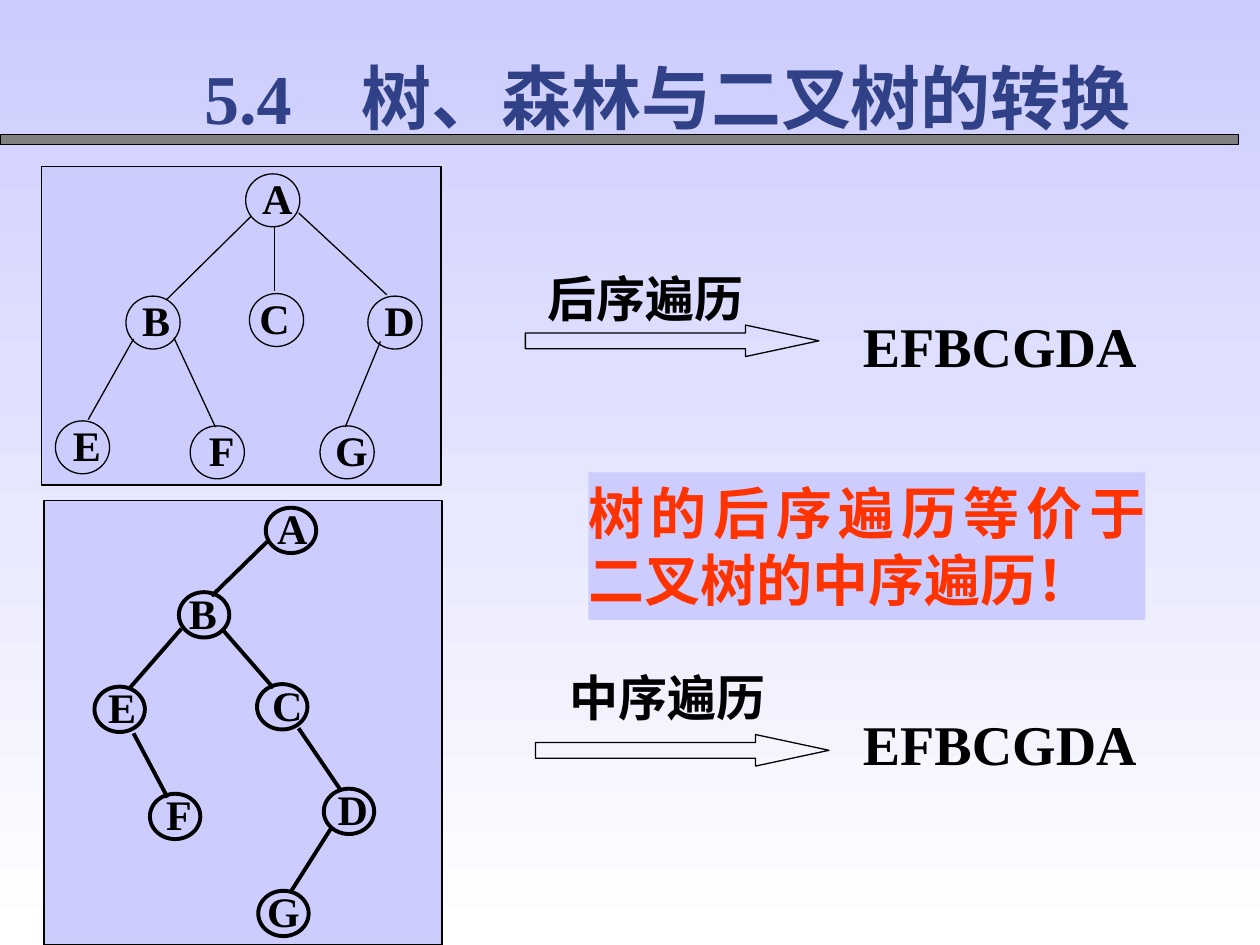
from lxml import etree
from pptx import Presentation
from pptx.dml.color import RGBColor
from pptx.enum.shapes import MSO_CONNECTOR as CONNECTOR, MSO_SHAPE as SHAPE
from pptx.enum.text import MSO_ANCHOR as ANCHOR, MSO_AUTO_SIZE as AUTO_SIZE, PP_ALIGN as ALIGN
from pptx.oxml.ns import qn
from pptx.util import Inches, Pt

BLACK = RGBColor(0x00, 0x00, 0x00)
WHITE = RGBColor(0xFF, 0xFF, 0xFF)
GRAY = RGBColor(0x80, 0x80, 0x80)
LAVENDER = RGBColor(0xCC, 0xCC, 0xFF)
NAVY = RGBColor(0x31, 0x41, 0x87)
RED = RGBColor(0xFF, 0x33, 0x00)


def write_text(box, text, size, color=BLACK, align=ALIGN.LEFT, before=0,
               margins=(0.1, 0.05, 0.1, 0.05), fit=AUTO_SIZE.SHAPE_TO_FIT_TEXT):
    frame = box.text_frame
    left, top, right, bottom = map(Inches, margins)
    frame_format = {"word_wrap": True, "auto_size": fit, "vertical_anchor": ANCHOR.TOP,
                    "margin_left": left, "margin_top": top,
                    "margin_right": right, "margin_bottom": bottom}
    for name, value in frame_format.items():
        setattr(frame, name, value)
    para = frame.paragraphs[0]
    para.alignment = align
    para.space_before = Pt(before)
    span = para.add_run()
    span.text = text
    for name, value in {"name": "Times New Roman", "size": Pt(size), "bold": True}.items():
        setattr(span.font, name, value)
    span.font.color.rgb = color


def draw_shape(shapes, kind, place, fill=None, line_width=0.75):
    shape = shapes.add_shape(kind, *map(Inches, place))
    shape.shadow.inherit = False
    if fill is None:
        shape.fill.background()
    else:
        shape.fill.solid()
        shape.fill.fore_color.rgb = fill
    if line_width:
        shape.line.color.rgb = BLACK
        shape.line.width = Pt(line_width)
    else:
        shape.line.fill.background()
    return shape


deck = Presentation()
deck.slide_width = Inches(10)
deck.slide_height = Inches(7.5)
slide = deck.slides.add_slide(deck.slide_layouts[5])

background = slide.background.fill
background.gradient()
background.gradient_angle = 270
for stop, color in zip(background.gradient_stops, (LAVENDER, WHITE)):
    stop.color.rgb = color

draw_shape(slide.shapes, SHAPE.RECTANGLE, (0, 1.07, 9.83, 0.08), GRAY)

traversals = [
    ("后序遍历", (4.25, 2.08, 1.92, 0.57), (4.17, 2.58), (6.75, 2.42, 2.67, 0.64)),
    ("中序遍历", (4.42, 5.25, 1.83, 0.57), (4.25, 5.83), (6.75, 5.58, 2.58, 0.64)),
]
for name, name_place, arrow_corner, result_place in traversals:
    result = slide.shapes.add_textbox(*map(Inches, result_place))
    write_text(result, "EFBCGDA", 32, before=20)
    group = slide.shapes.add_group_shape()
    arrow = draw_shape(group.shapes, SHAPE.RIGHT_ARROW, (*arrow_corner, 2.33, 0.25))
    arrow.adjustments[0] = 0.5
    arrow.adjustments[1] = 2.33
    caption = group.shapes.add_textbox(*map(Inches, name_place))
    write_text(caption, name, 28, before=17.5)

conclusion = draw_shape(slide.shapes, SHAPE.RECTANGLE, (4.67, 3.75, 4.42, 1.17), LAVENDER, 0)
write_text(conclusion, "树的后序遍历等价于二叉树的中序遍历！", 32, RED, ALIGN.JUSTIFY, 20,
           (0, 0.05, 0, 0.05))

title = slide.shapes.title
for name, value in {"left": 1.52, "top": 0.38, "width": 7.71, "height": 0.77}.items():
    setattr(title, name, Inches(value))
write_text(title, "5.4　树、森林与二叉树的转换", 40, NAVY, ALIGN.JUSTIFY, 25)
title.element.getparent().append(title.element)

trees = [
    {
        "panel": (0.33, 1.32, 3.17, 2.53), "line": 0.75, "node": (0.43, 0.42),
        "label": (0.36, 0.5), "rise": 0.08, "margins": (0.04, 0.07, 0.04, 0.01),
        "nodes": [("A", 1.95, 1.38, 0.07), ("B", 1, 2.35, 0.06), ("C", 1.98, 2.33, 0.02),
                  ("D", 2.92, 2.35, 0.07), ("E", 0.44, 3.34, 0.07),
                  ("F", 1.51, 3.38, 0.07), ("G", 2.54, 3.38, 0.07)],
        "edges": [(1.99, 1.72, 1.32, 2.38), (2.18, 1.8, 2.18, 2.31), (2.37, 1.69, 3.07, 2.34),
                  (1.06, 2.69, 0.7, 3.33), (1.38, 2.68, 1.71, 3.39), (3.02, 2.71, 2.74, 3.39)],
    },
    {
        "panel": (0.35, 3.97, 3.16, 3.53), "line": 2.25, "node": (0.4, 0.36),
        "label": (0.34, 0.44), "rise": 0.07, "margins": (0.02, 0.03, 0.02, 0.01),
        "nodes": [("A", 2.11, 4.03, 0.04), ("B", 1.42, 4.7, 0.02), ("E", 0.75, 5.45, 0.05),
                  ("C", 2.04, 5.43, 0.07), ("F", 1.19, 6.3, 0.06),
                  ("D", 2.57, 6.26, 0.06), ("G", 2.05, 7.07, 0.03)],
        "edges": [(2.12, 4.3, 1.68, 4.73), (1.44, 4.99, 1.03, 5.46), (1.76, 4.99, 2.17, 5.46),
                  (1.06, 5.82, 1.33, 6.33), (2.37, 5.78, 2.71, 6.28), (2.63, 6.57, 2.3, 7.09)],
    },
]
for tree in trees:
    shapes = slide.shapes.add_group_shape().shapes
    draw_shape(shapes, SHAPE.RECTANGLE, tree["panel"], LAVENDER)
    for letter, left, top, shift in tree["nodes"]:
        label_place = (left + shift, top - tree["rise"], *tree["label"])
        label = shapes.add_textbox(*map(Inches, label_place))
        write_text(label, letter, 24, align=ALIGN.CENTER, margins=tree["margins"],
                   fit=AUTO_SIZE.NONE)
        draw_shape(shapes, SHAPE.OVAL, (left, top, *tree["node"]), line_width=tree["line"])
    for ends in tree["edges"]:
        edge = shapes.add_connector(CONNECTOR.STRAIGHT, *map(Inches, ends))
        edge.line.color.rgb = BLACK
        edge.line.width = Pt(tree["line"])
        etree.SubElement(edge.element.spPr, qn("a:effectLst"))

deck.save("out.pptx")
